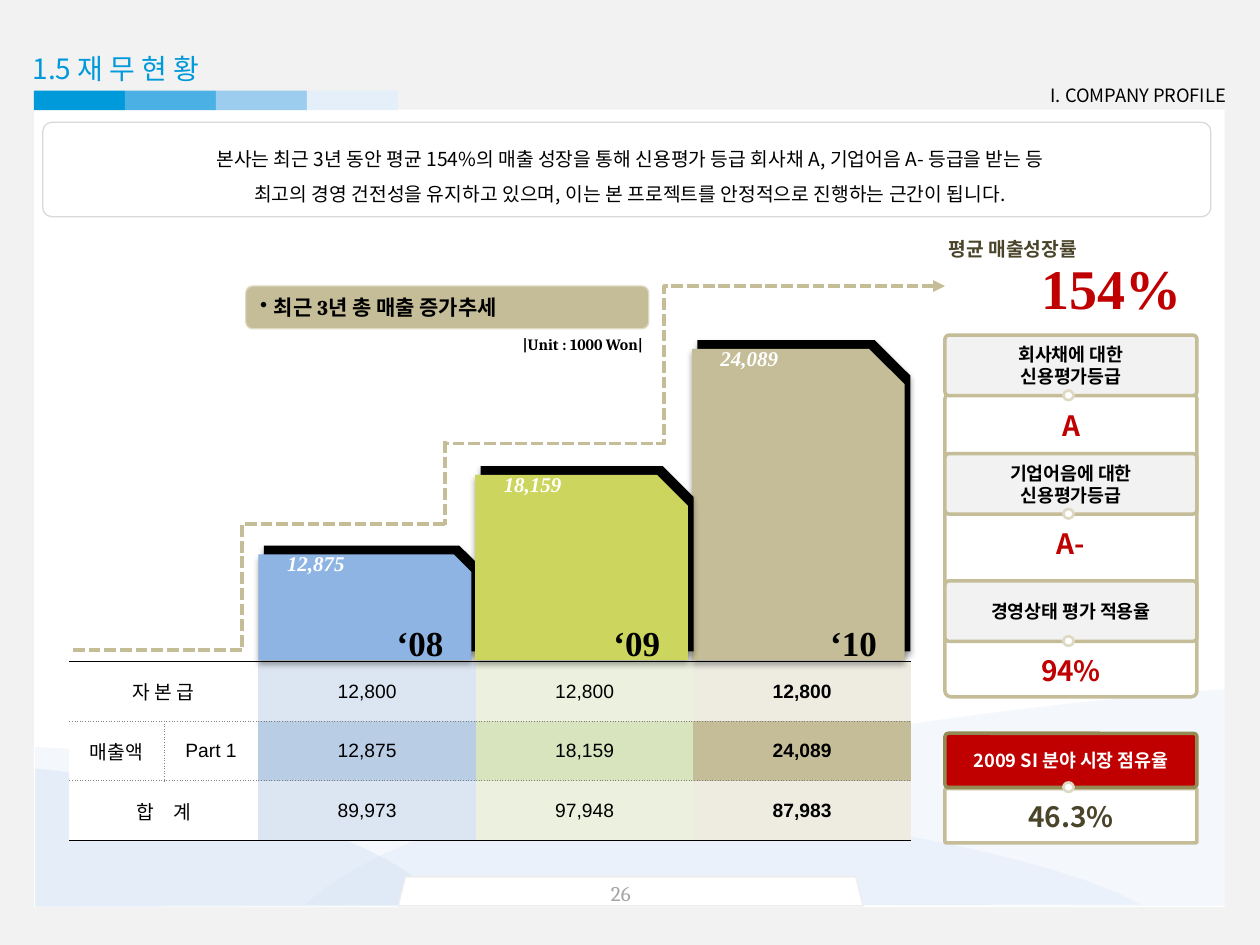
from dataclasses import dataclass

from lxml.etree import SubElement
from pptx import Presentation
from pptx.dml.color import RGBColor
from pptx.enum.shapes import MSO_CONNECTOR, MSO_SHAPE
from pptx.enum.text import MSO_ANCHOR, MSO_AUTO_SIZE, PP_ALIGN
from pptx.oxml.ns import qn
from pptx.util import Inches, Pt

SANS, SERIF, TIMES = "Noto Sans CJK KR", "Cambria", "Times New Roman"


@dataclass(frozen=True)
class Type:
    size: float
    font: str = SANS
    color: str = "000000"
    bold: bool = False
    italic: bool = False


@dataclass(frozen=True)
class Theme:
    white: str = "FFFFFF"
    black: str = "000000"
    backdrop: str = "F2F2F2"
    wave: str = "C6D9F1"
    tan: str = "C4BD97"
    pale_tan: str = "DDD9C3"
    olive: str = "948A54"
    red: str = "C00000"
    hairline: str = "D9D9D9"
    tab_line: str = "EDEDED"
    dots: str = "808080"
    steps: tuple = ("0099DA", "4BB0E4", "9CCCEE", "E4EFFA")
    light_row: tuple = ("FFFFFF", "FFFFFF", "DCE6F2", "EBF1DE", "EEECE1")
    strong_row: tuple = ("FFFFFF", "FFFFFF", "B9CDE5", "D7E4BD", "C4BD97")
    title: Type = Type(16, color="0099DA")
    chapter: Type = Type(10.5)
    body: Type = Type(11)
    number: Type = Type(12, SERIF, "A6A6A6")
    unit: Type = Type(9, SERIF, bold=True)
    trend: Type = Type(12, SERIF, bold=True)
    cell: Type = Type(11, "Arial")
    strong_cell: Type = Type(11, "Arial", bold=True)
    amount: Type = Type(12, TIMES, "FFFFFF", True, True)
    year: Type = Type(20, TIMES, bold=True)
    growth_label: Type = Type(11, color="4A452A", bold=True)
    growth: Type = Type(32, TIMES, "C00000", True)
    header: Type = Type(10.5, bold=True)
    share_header: Type = Type(10.5, color="FFFFFF", bold=True)
    grade: Type = Type(16, color="C00000", bold=True)
    share: Type = Type(16, color="4A452A", bold=True)


def add(parent, tag, **attributes):
    """Append a drawing element such as a:ln."""
    return SubElement(parent, qn(tag), {key: str(value) for key, value in attributes.items()})


class Page:
    """One slide on a grid of 100 columns by 75 rows."""

    def __init__(self, deck, theme):
        self.theme = theme
        self.slide = deck.slides.add_slide(deck.slide_layouts[1])
        self.shapes = self.slide.shapes
        self.unit = deck.slide_width / 100

    def grid(self, *lengths):
        return [round(length * self.unit) for length in lengths]

    def fill_frame(self, frame, text, style, align=PP_ALIGN.LEFT, wrap=True, anchor=MSO_ANCHOR.TOP):
        frame.text = text
        frame.word_wrap = wrap
        frame.auto_size = MSO_AUTO_SIZE.NONE
        frame.vertical_anchor = anchor
        self.style_text(frame.paragraphs, style, align)

    def style_text(self, paragraphs, style, align):
        for para in paragraphs:
            para.alignment = align
            for span in para.runs:
                font = span.font
                font.size, font.bold, font.italic = Pt(style.size), style.bold, style.italic
                font.color.rgb = RGBColor.from_string(style.color)
                font.name = style.font
                add(span._r.get_or_add_rPr(), "a:ea", typeface=SANS)

    def placeholder(self, index, place, text, style, align=PP_ALIGN.LEFT):
        """Fill a template placeholder and bring it to the front."""
        box = self.slide.placeholders[index]
        box.left, box.top, box.width, box.height = self.grid(*place)
        self.shapes._spTree.append(box.element)
        self.fill_frame(box.text_frame, text, style, align)
        return box

    def text(self, place, text, style, align=PP_ALIGN.LEFT, wrap=False):
        box = self.shapes.add_textbox(*self.grid(*place))
        self.fill_frame(box.text_frame, text, style, align, wrap)

    def paint(self, shape, fill, line=None, width=0.75):
        shape.shadow.inherit = False
        shape.fill.solid()
        shape.fill.fore_color.rgb = RGBColor.from_string(fill)
        if line:
            shape.line.color.rgb = RGBColor.from_string(line)
            shape.line.width = Pt(width)
        else:
            shape.line.fill.background()

    def shape(self, kind, place, fill, line=None, width=0.75, corner=None):
        shape = self.shapes.add_shape(kind, *self.grid(*place))
        self.paint(shape, fill, line, width)
        if corner is not None:
            shape.adjustments[0] = corner
        return shape

    def wave(self, corner, foot, curve, opacity):
        """Tinted area closed by a cubic curve through four given points."""
        points = [foot]
        for step in range(25):
            t = step / 24
            weights = ((1 - t) ** 3, 3 * t * (1 - t) ** 2, 3 * t * t * (1 - t), t ** 3)
            points.append(tuple(sum(w * p[axis] for w, p in zip(weights, curve)) for axis in (0, 1)))
        builder = self.shapes.build_freeform(*self.grid(*corner))
        builder.add_line_segments([self.grid(*point) for point in points], close=True)
        shape = builder.convert_to_shape()
        self.paint(shape, self.theme.wave)
        color = shape._element.spPr.find(qn("a:solidFill"))[0]
        add(color, "a:alpha", val=opacity * 1000)

    def bar(self, left, top, fill):
        """Snipped column with a black one behind it, both casting a shadow."""
        for x, y, color in ((left + 0.45, top - 0.7, self.theme.black), (left, top, fill)):
            shape = self.shape(MSO_SHAPE.SNIP_1_RECTANGLE, (x, y, 16.9, 52.4 - top), color)
            effects = shape._element.spPr.find(qn("a:effectLst"))
            shadow = add(effects, "a:outerShdw", blurRad=Pt(3.5), dist=Pt(2.2), dir=5400000, rotWithShape=0)
            add(add(shadow, "a:srgbClr", val=self.theme.black), "a:alpha", val=32000)

    def dashed(self, kind, start, end, bend=None, arrow=False):
        connector = self.shapes.add_connector(kind, *self.grid(*start, *end))
        connector.line.color.rgb = RGBColor.from_string(self.theme.tan)
        connector.line.width = Pt(2.25)
        properties = connector._element.spPr
        outline = properties.find(qn("a:ln"))
        add(outline, "a:prstDash", val="sysDash")
        if arrow:
            add(outline, "a:headEnd", type="triangle")
        if bend:
            guides = properties.find(qn("a:prstGeom")).find(qn("a:avLst"))
            add(guides, "a:gd", name="adj1", fmla=f"val {round(bend * 100000)}")
        add(properties, "a:effectLst")

    def rating(self, top, height, label, value, style, label_style, fill, line):
        """Header plate, linking dot and value below."""
        plate = self.shape(MSO_SHAPE.ROUNDED_RECTANGLE, (75, top, 20, height), fill, line, 2, 0.065)
        self.fill_frame(plate.text_frame, label, label_style, PP_ALIGN.CENTER, anchor=MSO_ANCHOR.MIDDLE)
        bottom = top + height
        self.shape(MSO_SHAPE.OVAL, (84.4, bottom - 0.4, 0.8, 0.75), self.theme.white, self.theme.pale_tan, 1.5)
        self.text((75, bottom + 0.5, 20, 3.7), value, style, PP_ALIGN.CENTER, wrap=True)

    def borders(self, cell, edges):
        for side in "LRTB":
            width, color, dash = edges.get(side, (0, None, None))
            line = add(cell._tc.get_or_add_tcPr(), f"a:ln{side}", w=Pt(width))
            if color:
                add(add(line, "a:solidFill"), "a:srgbClr", val=color)
                add(line, "a:prstDash", val=dash)
            else:
                add(line, "a:noFill")

    def table(self, place, widths, rows, fills, rules, divider):
        table = self.shapes.add_table(len(rows), len(widths), *self.grid(*place)).table
        table.first_row = table.horz_banding = False
        for column, width in zip(table.columns, self.grid(*widths)):
            column.width = width
        for r, texts in enumerate(rows):
            for c, text in enumerate(texts):
                cell = table.cell(r, c)
                edges = {"T": rules[r], "B": rules[r + 1]}
                if texts[1] and c < 2:
                    edges["RL"[c]] = divider
                self.borders(cell, edges)
                cell.fill.solid()
                cell.fill.fore_color.rgb = RGBColor.from_string(fills[r][c])
                cell.vertical_anchor = MSO_ANCHOR.MIDDLE
                cell.text = text
                style = self.theme.strong_cell if c == len(widths) - 1 else self.theme.cell
                self.style_text(cell.text_frame.paragraphs, style, PP_ALIGN.CENTER)
            if not texts[1]:
                table.cell(r, 0).merge(table.cell(r, 1))


def draw_frame(page, theme):
    page.shape(MSO_SHAPE.RECTANGLE, (0, 0, 100, 75), theme.backdrop)
    page.shape(MSO_SHAPE.RECTANGLE, (2.7, 8.7, 94.5, 63.3), theme.white)
    page.wave((35.3, 71.9), (2.8, 72), ((2.8, 61), (9.1, 61.5), (30.2, 65), (35.3, 71.9)), 31)
    page.wave((90.5, 71.8), (2.8, 71.9), ((2.8, 59.3), (19.7, 60), (76.9, 63.9), (90.5, 71.8)), 19)
    page.wave((24.2, 71.8), (97.2, 71.9), ((97.2, 54.7), (83.1, 55.6), (35.5, 61), (24.2, 71.8)), 18)
    page.text((81, 6.2, 17.3, 2.8), "I. COMPANY PROFILE", theme.chapter, PP_ALIGN.RIGHT, wrap=True)
    for i, color in enumerate(theme.steps):
        page.shape(MSO_SHAPE.RECTANGLE, (2.7 + 7.22 * i, 7.2, 7.22, 1.55), color)
    page.shape(MSO_SHAPE.TRAPEZOID, (31.6, 69.6, 36.9, 2.3), theme.white, theme.tab_line)
    page.text((47.5, 69.4, 3.8, 3), "26", theme.number)
    page.placeholder(0, (1.6, 3.6, 22.5, 3.7), "1.5 재 무 현 황", theme.title)
    page.shape(MSO_SHAPE.ROUNDED_RECTANGLE, (3.4, 9.7, 92.7, 7.5), theme.white, theme.hairline, corner=0.096)
    summary = page.placeholder(
        1, (4.7, 10.3, 90.6, 6.6),
        "본사는 최근 3년 동안 평균 154%의 매출 성장을 통해 신용평가 등급 회사채 A, 기업어음 A- 등급을 받는 등\n"
        "최고의 경영 건전성을 유지하고 있으며, 이는 본 프로젝트를 안정적으로 진행하는 근간이 됩니다.",
        theme.body, PP_ALIGN.CENTER)
    for para in summary.text_frame.paragraphs:
        para.line_spacing, para.space_before = 1.5, Pt(0)
        properties = para._p.get_or_add_pPr()
        properties.set("marL", "0")
        properties.set("indent", "0")
        add(properties, "a:buNone")


def draw_sales(page, theme):
    solid, dot = (0.5, theme.black, "solid"), (0.25, theme.dots, "sysDot")
    page.table(
        (5.5, 52.5, 66.8, 14.2), (7.5, 7.5, 17.27, 17.27, 17.27),
        (("자 본 급", "", "12,800", "12,800", "12,800"),
         ("매출액", "Part 1", "12,875", "18,159", "24,089"),
         ("합　계", "", "89,973", "97,948", "87,983")),
        (theme.light_row, theme.strong_row, theme.light_row),
        (solid, dot, (1, theme.dots, "sysDot"), solid), dot)
    page.text((40.5, 26.1, 12.3, 2.5), "|Unit : 1000 Won|", theme.unit)
    years = ((0, 44, "8EB4E3", "12,875", "‘08"),
             (2, 27.7, theme.tan, "24,089", "‘10"),
             (1, 37.7, "CCD55D", "18,159", "‘09"))
    for slot, top, color, _, _ in years:
        page.bar(20.5 + 17.2 * slot, top, color)
    for slot, top, _, amount, year in years:
        left = 20.5 + 17.2 * slot
        page.text((left + 1.3, top - 0.8, 6.6, 3), amount, theme.amount)
        page.text((left + 10, 48.8, 5.9, 4.4), year, theme.year)


def draw_ratings(page, theme):
    page.text((73.7, 18.3, 13.4, 2.9), "평균 매출성장률", theme.growth_label, PP_ALIGN.CENTER)
    page.text((81.6, 19.6, 13.2, 6.4), "154%", theme.growth, PP_ALIGN.CENTER)
    for top, height in ((31.2, 24.1), (62.6, 4.3)):
        page.shape(MSO_SHAPE.ROUNDED_RECTANGLE, (75, top, 20, height), theme.white, theme.tan, 2, 0.023)
    for top, label, value in ((26.6, "회사채에 대한\n신용평가등급", "A"),
                              (36, "기업어음에 대한\n신용평가등급", "A-"),
                              (46.1, "경영상태 평가 적용율", "94%")):
        page.rating(top, 4.8, label, value, theme.grade, theme.header, theme.backdrop, theme.tan)
    page.rating(58.2, 4.3, "2009 SI 분야 시장 점유율", "46.3%", theme.share, theme.share_header,
                theme.red, theme.olive)


def draw_trend(page, theme):
    page.dashed(MSO_CONNECTOR.ELBOW, (35.3, 41.6), (5.5, 51.6), bend=0.54)
    page.dashed(MSO_CONNECTOR.ELBOW, (75, 22.7), (35.2, 35.2), bend=0.56, arrow=True)
    page.dashed(MSO_CONNECTOR.STRAIGHT, (35.3, 35), (35.3, 41.7))
    banner = page.shape(MSO_SHAPE.ROUNDED_RECTANGLE, (19.5, 22.7, 32, 3.4), theme.tan, theme.pale_tan)
    banner.text_frame.text = "최근 3년 총 매출 증가추세"
    properties = banner.text_frame.paragraphs[0]._p.get_or_add_pPr()
    properties.set("marL", str(Inches(0.11)))
    properties.set("indent", str(-Inches(0.11)))
    add(properties, "a:buChar", char="•")
    page.style_text(banner.text_frame.paragraphs, theme.trend, PP_ALIGN.LEFT)


def main():
    deck = Presentation()
    deck.slide_width, deck.slide_height = Inches(10), Inches(7.5)
    theme = Theme()
    page = Page(deck, theme)
    for draw in (draw_frame, draw_sales, draw_ratings, draw_trend):
        draw(page, theme)
    deck.save("out.pptx")


if __name__ == "__main__":
    main()
